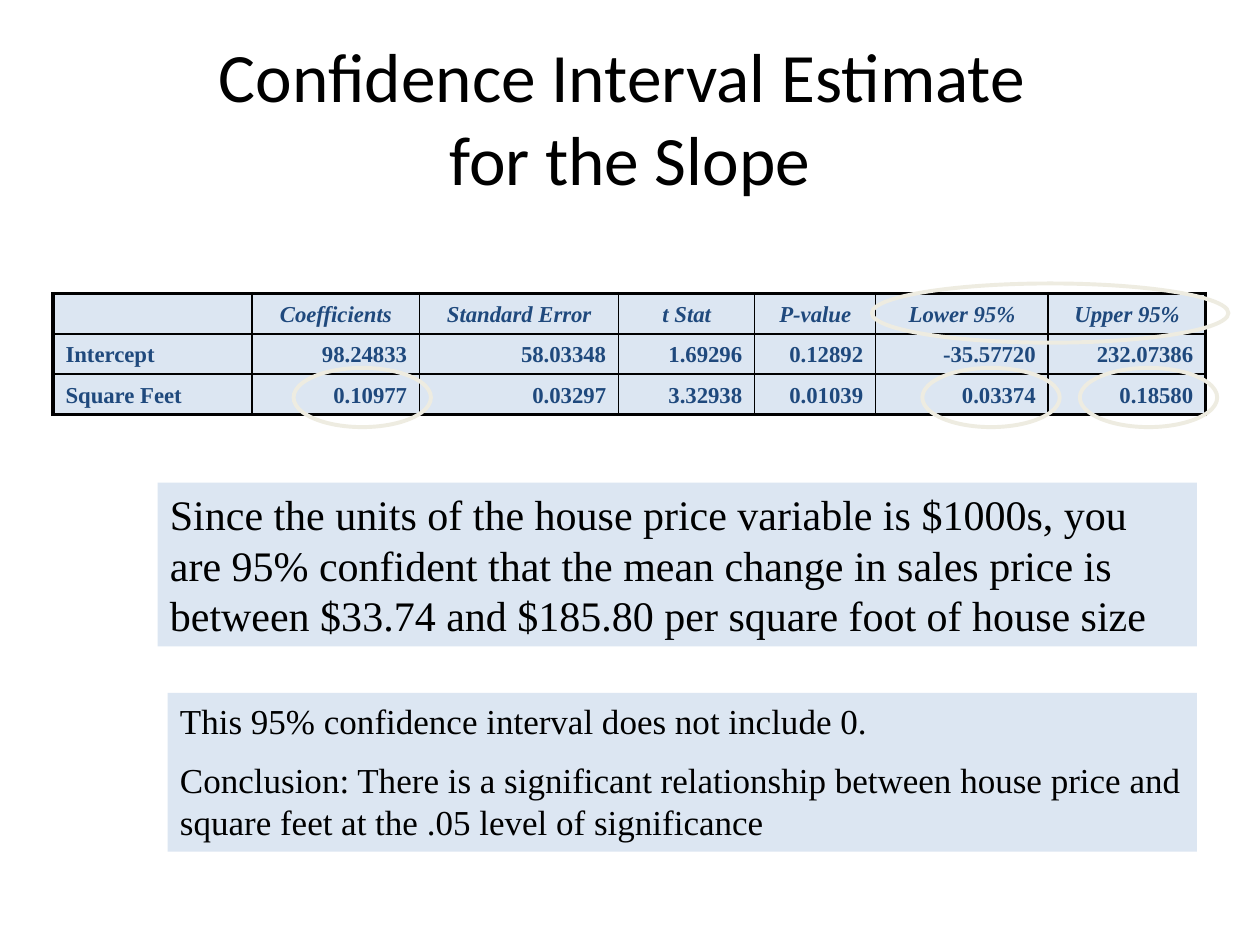
import pptx
import pptx.util
import pptx.dml.color
import pptx.enum.shapes
import pptx.enum.text
import pptx.oxml.ns
from lxml import etree

Inches, Pt = pptx.util.Inches, pptx.util.Pt
Align = pptx.enum.text.PP_ALIGN
Anchor = pptx.enum.text.MSO_ANCHOR
Shape = pptx.enum.shapes.MSO_SHAPE
qn = pptx.oxml.ns.qn

# Content
TITLE = "Confidence Interval Estimate \vfor the Slope"
ROWS = [
    ["", "Coefficients", "Standard Error", "t Stat", "P-value", "Lower 95%", "Upper 95%"],
    ["Intercept", "98.24833", "58.03348", "1.69296", "0.12892", "-35.57720", "232.07386"],
    ["Square Feet", "0.10977", "0.03297", "3.32938", "0.01039", "0.03374", "0.18580"],
]
WIDTHS = [1.58, 1.33, 1.58, 1.08, 0.96, 1.37, 1.25]
ROW_H = 0.32
NOTES = [  # place, type size, paragraphs
    ((1.25, 3.83, 8.25, 1.3), "note", [
        "Since the units of the house price variable is $1000s, you are 95% confident "
        "that the mean change in sales price is between $33.74 and $185.80 per square "
        "foot of house size"]),
    ((1.33, 5.5, 8.17, 1.26), "small", [
        "This 95% confidence interval does not include 0.",
        "Conclusion: There is a significant relationship between house price and "
        "square feet at the .05 level of significance"]),
]
RINGS = [(x, 2.92, 1.09, 0.47) for x in (7.32, 8.57, 2.33)] + [(6.92, 2.25, 2.83, 0.47)]

THEME = {
    "head": "Calibri", "body": "Times New Roman",
    "ink": "000000", "panel": "DCE6F2", "navy": "1F497D", "ring": "EEECE1",
    "title": 39.6, "note": 24, "small": 20, "cell": 13,
    "thick": 2.25, "thin": 1,
}


def color(name):
    return pptx.dml.color.RGBColor.from_string(THEME[name])


def paint(part, name):
    part.fill.solid()
    part.fill.fore_color.rgb = color(name)


def style(para, face, size, ink, align=Align.LEFT, bold=False, slant=False):
    para.alignment = align
    for run in para.runs:
        font = run.font
        font.name, font.size = THEME[face], Pt(THEME[size])
        font.color.rgb = color(ink)
        font.bold, font.italic = bold, slant


def border(cell, side, width):
    line = etree.SubElement(cell._tc.get_or_add_tcPr(), qn("a:ln" + side),
                            w=str(Pt(THEME[width])))
    fill = etree.SubElement(line, qn("a:solidFill"))
    etree.SubElement(fill, qn("a:srgbClr"), val=THEME["ink"])


def add_title(slide):
    box = slide.shapes.add_textbox(*map(Inches, (0.5, 0.3, 9, 1.25)))
    frame = box.text_frame
    frame.word_wrap = True
    frame.vertical_anchor = Anchor.MIDDLE
    frame.text = TITLE
    style(frame.paragraphs[0], "head", "title", "ink", Align.CENTER)


def add_note(slide, place, size, lines):
    box = slide.shapes.add_shape(Shape.RECTANGLE, *map(Inches, place))
    box.shadow.inherit = False
    paint(box, "panel")
    box.line.fill.background()
    frame = box.text_frame
    frame.word_wrap = True
    frame.vertical_anchor = Anchor.TOP
    frame.text = "\n".join(lines)
    for i, para in enumerate(frame.paragraphs):
        style(para, "body", size, "ink")
        if i:
            para.space_before = Pt(THEME[size] / 2)


def add_grid(slide):
    last_r, last_c = len(ROWS) - 1, len(WIDTHS) - 1
    table = slide.shapes.add_table(
        len(ROWS), len(WIDTHS), Inches(0.42), Inches(2.33),
        Inches(sum(WIDTHS)), Inches(ROW_H * len(ROWS))).table
    for col, width in zip(table.columns, WIDTHS):
        col.width = Inches(width)
    for r, row in enumerate(ROWS):
        table.rows[r].height = Inches(ROW_H)
        for c, text in enumerate(row):
            cell = table.cell(r, c)
            cell.text = text
            cell.vertical_anchor = Anchor.BOTTOM
            # Thick outer frame, thin inner rules
            edges = {"L": c == 0, "R": c == last_c, "T": r == 0, "B": r == last_r}
            for side, outer in edges.items():
                border(cell, side, "thick" if outer else "thin")
            paint(cell, "panel")
            para = cell.text_frame.paragraphs[0]
            align = Align.CENTER if r == 0 else Align.RIGHT if c else Align.LEFT
            style(para, "body", "cell", "navy", align, True, r == 0)
            if not text:  # keeps the empty cell from growing its row
                etree.SubElement(para._p, qn("a:endParaRPr"), sz=str(THEME["cell"] * 100))


def add_ring(slide, place):
    ring = slide.shapes.add_shape(Shape.OVAL, *map(Inches, place))
    ring.shadow.inherit = False
    ring.fill.background()
    ring.line.color.rgb = color("ring")
    ring.line.width = Pt(THEME["thick"])


def main():
    deck = pptx.Presentation()
    deck.slide_width, deck.slide_height = Inches(10), Inches(7.5)
    slide = deck.slides.add_slide(deck.slide_layouts[6])
    add_title(slide)
    add_grid(slide)
    for place in RINGS:
        add_ring(slide, place)
    for note in NOTES:
        add_note(slide, *note)
    deck.save("out.pptx")


if __name__ == "__main__":
    main()
